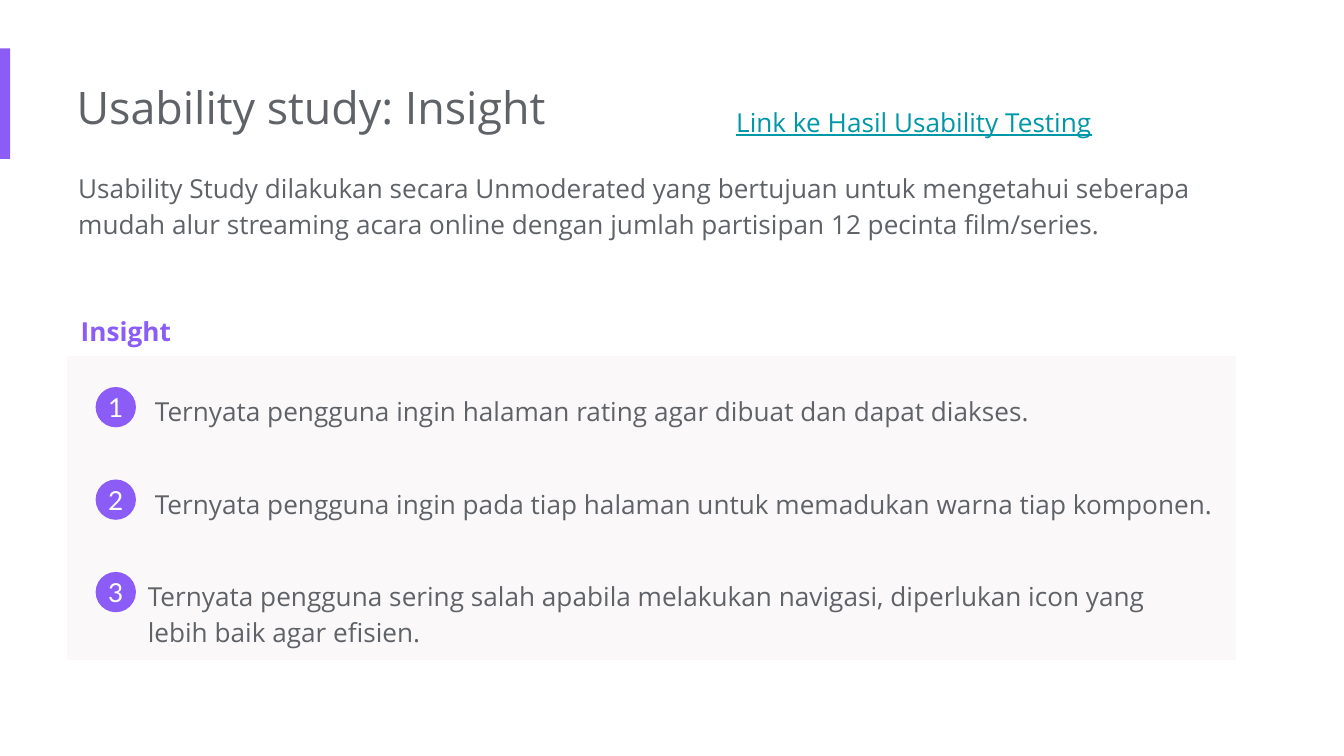
from pptx import Presentation
from pptx import util as u
from pptx.dml.color import RGBColor
from pptx.enum import shapes, text

COLORS = {
    "violet": "8B5CF6",
    "grey": "5F6368",
    "panel": "FAF8F9",
    "teal": "0097A7",
    "white": "FFFFFF",
}

deck = Presentation()
deck.slide_width = u.Inches(10)
deck.slide_height = deck.slide_width * 9 // 16
page = deck.slides.add_slide(deck.slide_layouts[6])

# The grid has 100 columns across the slide; rows are as high as columns are wide.
CELL = deck.slide_width / 100


def add_filled(kind, area, color):
    shape = page.shapes.add_shape(kind, *[round(n * CELL) for n in area])
    shape.shadow.inherit = False
    shape.fill.solid()
    shape.fill.fore_color.rgb = RGBColor.from_string(COLORS[color])
    shape.line.fill.background()
    return shape


def write(box, words, color="grey", inset=1, spacing=1.15, side_inset=None,
          align=text.PP_ALIGN.LEFT, anchor=text.MSO_ANCHOR.TOP,
          fit=text.MSO_AUTO_SIZE.SHAPE_TO_FIT_TEXT, **font):
    """Fill a box with one paragraph; insets are in grid cells."""
    frame = box.text_frame
    left = inset if side_inset is None else side_inset
    layout = {
        "word_wrap": True,
        "auto_size": fit,
        "vertical_anchor": anchor,
        "margin_left": round(left * CELL),
        "margin_top": round(inset * CELL),
        "margin_right": round(inset * CELL),
        "margin_bottom": round(inset * CELL),
    }
    for name, value in layout.items():
        setattr(frame, name, value)
    para = frame.paragraphs[0]
    para.alignment = align
    para.line_spacing = spacing
    span = para.add_run()
    span.text = words
    look = {"name": "Open Sans", "size": u.Pt(14), **font}
    for name, value in look.items():
        setattr(span.font, name, value)
    span.font.color.rgb = RGBColor.from_string(COLORS[color])


RECTANGLE = shapes.MSO_SHAPE.RECTANGLE
add_filled(RECTANGLE, (0, 3.6, 0.75, 8.23), "violet")

# Headings and introduction: area, words, format
passages = [
    ((5.7, 4.9, 67.3, 6.1), "Usability study: Insight",
     {"size": u.Pt(24), "side_inset": 0, "spacing": 1.0}),
    ((5.82, 11.5, 86.1, 9.8),
     "Usability Study dilakukan secara Unmoderated yang bertujuan untuk "
     "mengetahui seberapa mudah alur streaming acara online dengan jumlah "
     "partisipan 12 pecinta film/series.",
     {"side_inset": 0, "fit": text.MSO_AUTO_SIZE.NONE}),
    ((5.02, 22.1, 36.5, 4.4), "Insight", {"color": "violet", "bold": True}),
    ((54.78, 5.75, 36.5, 4.4), "Link ke Hasil Usability Testing",
     {"color": "teal", "side_inset": 0, "spacing": 1.5, "underline": True,
      "fit": text.MSO_AUTO_SIZE.NONE}),
]
for area, words, style in passages:
    box = page.shapes.add_textbox(*[round(n * CELL) for n in area])
    write(box, words, **style)

add_filled(RECTANGLE, (5, 26.5, 86.94, 22.6), "panel")

# Numbered insights: left column, width, height, words
insights = [
    (10.54, 79.1, 4.4,
     "Ternyata pengguna ingin halaman rating agar dibuat dan dapat diakses."),
    (10.54, 81.4, 4.4,
     "Ternyata pengguna ingin pada tiap halaman untuk memadukan warna tiap "
     "komponen."),
    (10.02, 79.6, 7.1,
     "Ternyata pengguna sering salah apabila melakukan navigasi, diperlukan "
     "icon yang lebih baik agar efisien."),
]
FIRST_ROW, ROW_STEP, BADGE = 28.1, 6.88, 3
for index, (left, width, height, words) in enumerate(insights):
    top = FIRST_ROW + index * ROW_STEP
    area = (left, top, width, height)
    write(page.shapes.add_textbox(*[round(n * CELL) for n in area]), words)
    badge = add_filled(shapes.MSO_SHAPE.OVAL, (7.12, top + 0.7, BADGE, BADGE), "violet")
    write(badge, str(index + 1), color="white", inset=0, spacing=1.0, name="Lato",
          align=text.PP_ALIGN.CENTER, anchor=text.MSO_ANCHOR.MIDDLE,
          fit=text.MSO_AUTO_SIZE.NONE)

deck.save("out.pptx")
